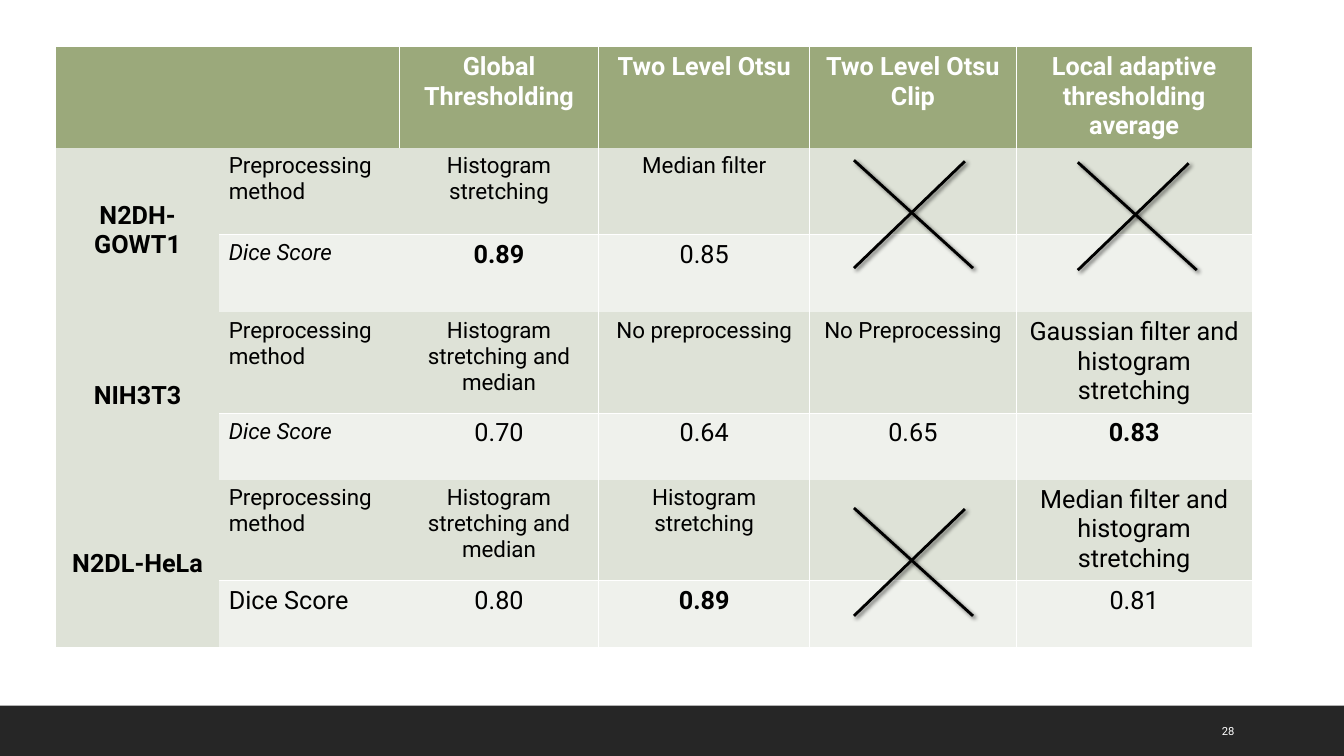
from lxml import etree
from pptx import Presentation
from pptx.dml.color import RGBColor
from pptx.enum import shapes, text
from pptx.oxml import parse_xml
from pptx.oxml.ns import nsdecls
from pptx.util import Inches, Pt

HEADINGS = ["", "", "Global Thresholding", "Two Level Otsu", "Two Level Otsu Clip",
            "Local adaptive thresholding average"]
DATASETS = [
    ("N2DH-GOWT1",
     ["Preprocessing\nmethod", "Histogram stretching", "Median filter", "", ""],
     ["Dice Score", "0.89", "0.85", "", ""]),
    ("NIH3T3",
     ["Preprocessing method", "Histogram stretching and median", "No preprocessing",
      "No Preprocessing", "Gaussian filter and histogram stretching"],
     ["Dice Score", "0.70", "0.64", "0.65", "0.83"]),
    ("N2DL-HeLa",
     ["Preprocessing\nmethod", "Histogram stretching and median", "Histogram stretching",
      "", "Median filter and histogram stretching"],
     ["Dice Score", "0.80", "0.89", "", "0.81"]),
]
BEST_SCORES = {(2, 2), (4, 5), (6, 3)}  # (row, column)
PAGE_NUMBER = "28"

TABLE_LEFT, TABLE_TOP = 0.56, 0.47
COLUMN_WIDTHS = [1.61, 1.79, 1.98, 2.09, 2.05, 2.34]
ROW_HEIGHTS = [0.97, 0.86, 0.77, 0.98, 0.66, 0.98, 0.66]
CROSS_CORNERS = [(8.47, 1.59), (8.47, 5.04), (10.69, 1.61)]
CROSS_STROKES = [((0, 0), (1.18, 1.07)), ((1.1, 0.01), (0, 1.07))]

THEME = {
    "font": "Roboto",
    "header": "9BA97B", "method": "DEE2D7", "score": "EFF1EC",
    "white": "FFFFFF", "black": "000000", "footer": "262626",
    "large": 18, "small": 16, "page": 8,
}


def color(name):
    return RGBColor.from_string(THEME[name])


def style_text(frame, size, ink="black", bold=False, italic=False, align=None):
    for paragraph in frame.paragraphs:
        paragraph.alignment = align
        for run in paragraph.runs:
            font = run.font
            font.name, font.size = THEME["font"], Pt(THEME[size])
            font.bold, font.italic = bold, italic
            font.color.rgb = color(ink)


def set_borders(cell, visible):
    """Draw white rules on the sides in visible and clear the other sides."""
    properties = cell._tc.get_or_add_tcPr()
    for position, side in enumerate("LRTB"):
        paint = (f'<a:solidFill><a:srgbClr val="{THEME["white"]}"/></a:solidFill>'
                 if side in visible else "<a:noFill/>")
        properties.insert(position, parse_xml(
            f'<a:ln{side} {nsdecls("a")} w="12700">{paint}</a:ln{side}>'))


def cell_borders(row, column):
    first_ruled = 2 if row == 0 else 3
    sides = ""
    if column >= first_ruled:
        sides += "L"
    if column + 1 >= first_ruled:
        sides += "R"
    if row and column:
        sides += "B" if row % 2 else "T"
    return sides


def cell_style(row, column):
    align = text.PP_ALIGN.CENTER if column != 1 else None
    if row == 0:
        return dict(size="large", ink="white", bold=True, align=align)
    if column == 0:
        return dict(size="large", bold=True, align=align)
    is_score = row % 2 == 0
    last_group = row == len(ROW_HEIGHTS) - 1
    if column == 1:
        return dict(size="large" if last_group else "small",
                    italic=is_score and not last_group)
    return dict(size="large" if is_score or column == 5 else "small",
                bold=(row, column) in BEST_SCORES, align=align)


def add_results(slide):
    rows = [HEADINGS]
    for dataset, methods, scores in DATASETS:
        rows += [[dataset] + methods, [""] + scores]
    table = slide.shapes.add_table(
        len(rows), len(HEADINGS), Inches(TABLE_LEFT), Inches(TABLE_TOP),
        Inches(sum(COLUMN_WIDTHS)), Inches(sum(ROW_HEIGHTS))).table
    table.first_row = table.horz_banding = False
    for column, width in zip(table.columns, COLUMN_WIDTHS):
        column.width = Inches(width)
    for row, height in zip(table.rows, ROW_HEIGHTS):
        row.height = Inches(height)
    for r, values in enumerate(rows):
        for c, value in enumerate(values):
            cell = table.cell(r, c)
            fill = "header" if r == 0 else "method" if r % 2 or c == 0 else "score"
            cell.fill.solid()
            cell.fill.fore_color.rgb = color(fill)
            set_borders(cell, cell_borders(r, c))
            if value:
                cell.text_frame.text = value
                style_text(cell.text_frame, **cell_style(r, c))
    for r in range(1, len(rows), 2):
        dataset = table.cell(r, 0)
        dataset.merge(table.cell(r + 1, 0))
        dataset.vertical_anchor = text.MSO_ANCHOR.MIDDLE


def add_cross(slide, left, top):
    cross = slide.shapes.add_group_shape()
    for (x1, y1), (x2, y2) in CROSS_STROKES:
        stroke = cross.shapes.add_connector(
            shapes.MSO_CONNECTOR.STRAIGHT, Inches(left + x1), Inches(top + y1),
            Inches(left + x2), Inches(top + y2))
        stroke.line.color.rgb = color("black")
        stroke.line.width = Pt(2)
        stroke._element.spPr.append(etree.fromstring(
            f'<a:effectLst {nsdecls("a")}><a:outerShdw blurRad="38100" dist="25400" '
            f'dir="2700000"><a:srgbClr val="{THEME["black"]}"><a:alpha val="60000"/>'
            '</a:srgbClr></a:outerShdw></a:effectLst>'))


def add_footer(slide):
    bar = slide.shapes.add_shape(shapes.MSO_SHAPE.RECTANGLE, 0, Inches(7),
                                 Inches(13.33), Inches(0.5))
    bar.shadow.inherit = False
    bar.fill.solid()
    bar.fill.fore_color.rgb = color("footer")
    bar.line.fill.background()
    page = slide.shapes.add_textbox(Inches(12.02), Inches(7.05), Inches(0.85), Inches(0.4))
    page.text_frame.word_wrap = True
    page.text_frame.vertical_anchor = text.MSO_ANCHOR.MIDDLE
    page.text_frame.text = PAGE_NUMBER
    style_text(page.text_frame, "page", "white")


def main():
    deck = Presentation()
    deck.slide_width, deck.slide_height = Inches(13.33), Inches(7.5)
    slide = deck.slides.add_slide(deck.slide_layouts[6])
    add_footer(slide)
    add_results(slide)
    for left, top in CROSS_CORNERS:
        add_cross(slide, left, top)
    deck.save("out.pptx")


if __name__ == "__main__":
    main()
